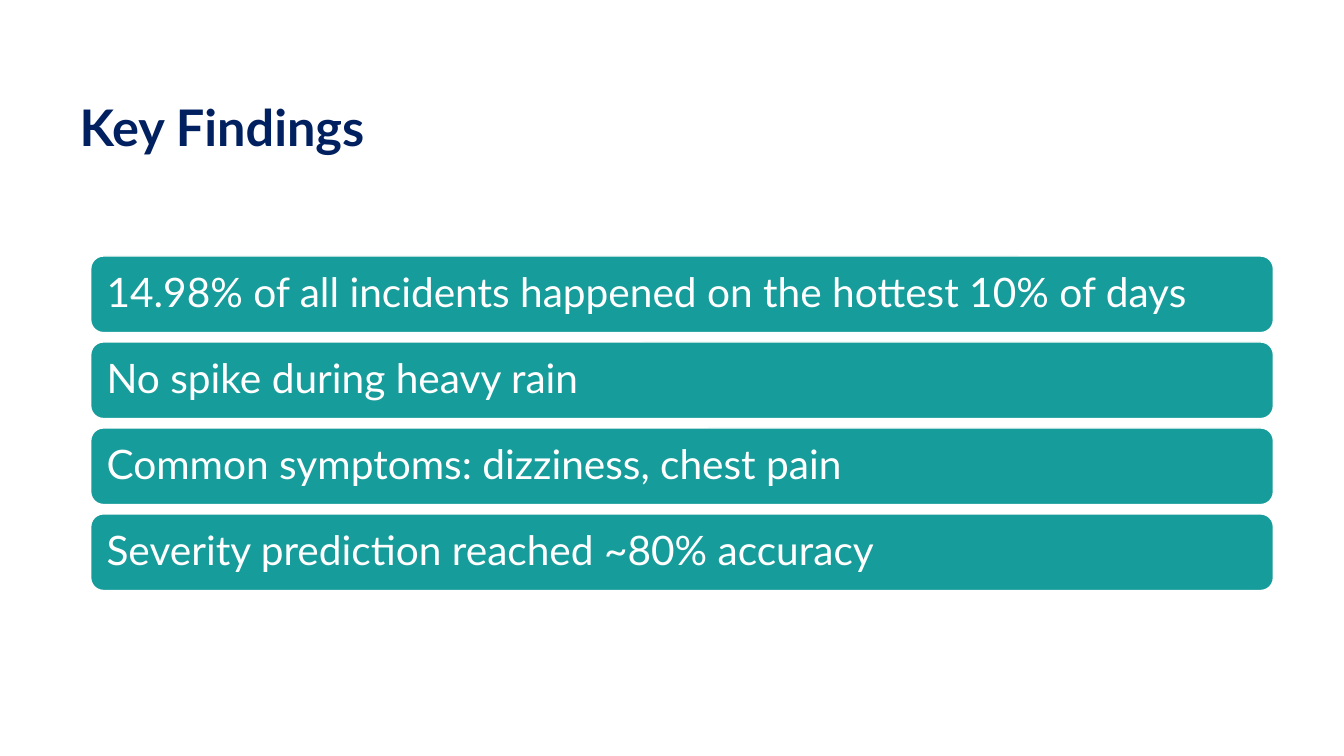
from pptx import Presentation
from pptx.dml.color import RGBColor
from pptx.enum.shapes import MSO_SHAPE
from pptx.enum.text import MSO_ANCHOR, PP_ALIGN
from pptx.util import Inches, Pt

ROUNDED = MSO_SHAPE.ROUNDED_RECTANGLE
TOP, MIDDLE = MSO_ANCHOR.TOP, MSO_ANCHOR.MIDDLE
LEFT = PP_ALIGN.LEFT

FONT = "Lato"
COLORS = {"title": "002060", "bar": "169C9A", "white": "FFFFFF"}
FINDINGS = [
    "14.98% of all incidents happened on the hottest 10% of days",
    "No spike during heavy rain",
    "Common symptoms: dizziness, chest pain",
    "Severity prediction reached ~80% accuracy",
]
BAR_LEFT, BAR_TOP, BAR_WIDTH, BAR_HEIGHT = 0.9, 2.54, 11.73, 0.76
BAR_STEP = 0.853
BAR_INSET = 0.12


def rgb(name):
    return RGBColor.from_string(COLORS[name])


def write_line(tf, text, size, color, anchor, bold=False):
    tf.word_wrap = True
    tf.vertical_anchor = anchor
    p = tf.paragraphs[0]
    p.alignment = LEFT
    p.line_spacing = 0.9
    r = p.add_run()
    r.text = text
    r.font.name = FONT
    r.font.size = Pt(size)
    r.font.bold = bold
    r.font.color.rgb = rgb(color)


def add_title(s, text):
    sp = s.shapes.add_textbox(Inches(0.69), Inches(0.97), Inches(3.82), Inches(1))
    write_line(sp.text_frame, text, 36, "title", TOP, bold=True)


def add_finding(s, top, text):
    sp = s.shapes.add_shape(ROUNDED, Inches(BAR_LEFT), Inches(top),
                            Inches(BAR_WIDTH), Inches(BAR_HEIGHT))
    sp.shadow.inherit = False
    sp.fill.solid()
    sp.fill.fore_color.rgb = rgb("bar")
    sp.line.color.rgb = rgb("white")
    sp.line.width = Pt(1)
    tf = sp.text_frame
    tf.margin_left = tf.margin_right = Inches(BAR_INSET)
    tf.margin_top = tf.margin_bottom = Inches(BAR_INSET)
    write_line(tf, text, 29, "white", MIDDLE)


def main():
    prs = Presentation()
    prs.slide_width, prs.slide_height = Inches(13.33), Inches(7.5)
    s = prs.slides.add_slide(prs.slide_layouts[6])
    add_title(s, "Key Findings")
    for i, finding in enumerate(FINDINGS):
        add_finding(s, BAR_TOP + i * BAR_STEP, finding)
    prs.save("out.pptx")


if __name__ == "__main__":
    main()
